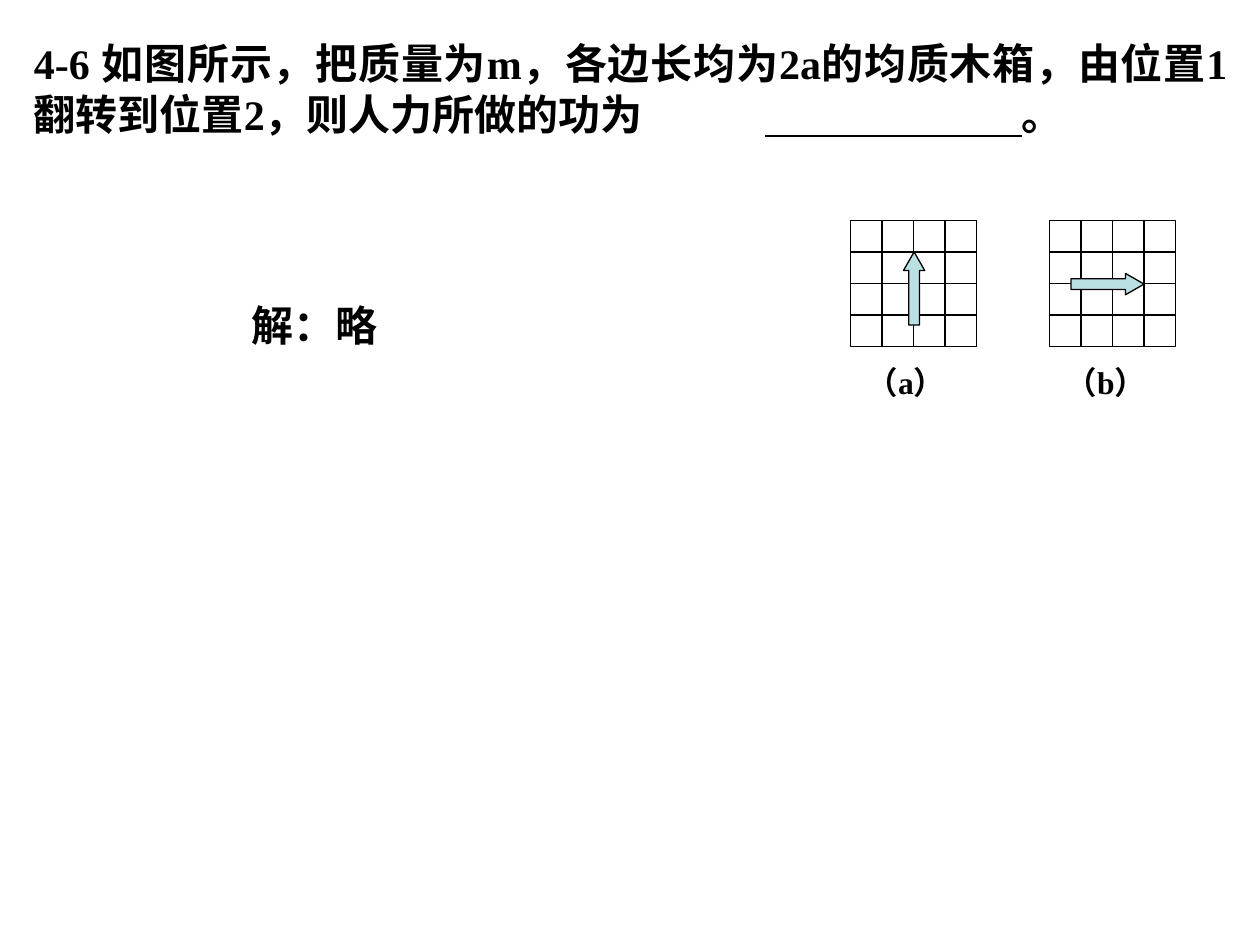
"""Build the slide for exercise 4-6 with two box grids."""
from lxml import etree
from pptx import Presentation
from pptx.dml.color import RGBColor
from pptx.enum import shapes, text
from pptx.oxml import ns
from pptx.util import Inches, Pt

FONT = "Times New Roman"
INK = "000000"
BLUE = "BBE0E3"
CELLS, SIDE, TOP = 4, 1, 1.75
ALIGN = text.PP_ALIGN
KIND = shapes.MSO_SHAPE

TASK = "4-6 如图所示，把质量为m，各边长均为2a的均质木箱，由位置1翻转到位置2，则人力所做的功为\t。"
STOP = 7.84
BLANK = (6.07, 1.08, 8.11, 1.08)
GRIDS = [
    (6.75, KIND.UP_ARROW, (7.17, 2, 0.17, 0.58)),
    (8.33, KIND.RIGHT_ARROW, (8.5, 2.17, 0.58, 0.17)),
]
NOTES = [
    ((6.78, 2.83, 1, 0.4), "（a）", 18, ALIGN.LEFT, False),
    ((8.36, 2.83, 1, 0.4), "（b）", 18, ALIGN.LEFT, False),
    ((1.5, 2.33, 2, 0.5), "解：略", 24, ALIGN.CENTER, True),
]


def color(code):
    return RGBColor.from_string(code)


def add_text(slide, box, words, size, align, wrap=True, stop=None):
    frame = slide.shapes.add_textbox(*map(Inches, box)).text_frame
    frame.word_wrap = wrap
    frame.auto_size = text.MSO_AUTO_SIZE.SHAPE_TO_FIT_TEXT
    para = frame.paragraphs[0]
    para.alignment = align
    if stop:
        tabs = etree.SubElement(para._p.get_or_add_pPr(), ns.qn("a:tabLst"))
        etree.SubElement(tabs, ns.qn("a:tab"), pos=str(Inches(stop)), algn="l")
    para.font.name = FONT
    para.font.size = Pt(size)
    para.font.bold = True
    para.font.color.rgb = color(INK)
    para.add_run().text = words


def add_shape(group, kind, box, fill=None):
    shape = group.shapes.add_shape(kind, *map(Inches, box))
    shape.shadow.inherit = False
    if fill:
        shape.fill.solid()
        shape.fill.fore_color.rgb = color(fill)
    else:
        shape.fill.background()
    set_line(shape)
    return shape


def add_line(group, ends, width=0.75):
    line = group.shapes.add_connector(shapes.MSO_CONNECTOR.STRAIGHT, *map(Inches, ends))
    set_line(line, width)
    etree.SubElement(line._element.spPr, ns.qn("a:effectLst"))


def set_line(shape, width=0.75):
    shape.line.color.rgb = color(INK)
    shape.line.width = Pt(width)


def add_grid(slide, left, kind, box):
    group = slide.shapes.add_group_shape()
    add_shape(group, KIND.RECTANGLE, (left, TOP, SIDE, SIDE))
    for cell in range(1, CELLS):
        step = cell * SIDE / CELLS
        add_line(group, (left + step, TOP, left + step, TOP + SIDE))
        add_line(group, (left, TOP + step, left + SIDE, TOP + step))
    arrow = add_shape(group, kind, box, BLUE)
    arrow.adjustments[0] = 0.5
    arrow.adjustments[1] = 0.87


def main():
    deck = Presentation()
    deck.slide_width, deck.slide_height = Inches(10), Inches(7.5)
    slide = deck.slides.add_slide(deck.slide_layouts[6])
    add_text(slide, (0.17, 0.25, 9.67, 0.9), TASK, 24, ALIGN.JUSTIFY, stop=STOP)
    add_line(slide, BLANK, 1.25)
    for grid in GRIDS:
        add_grid(slide, *grid)
    for note in NOTES:
        add_text(slide, *note)
    deck.save("out.pptx")


if __name__ == "__main__":
    main()
